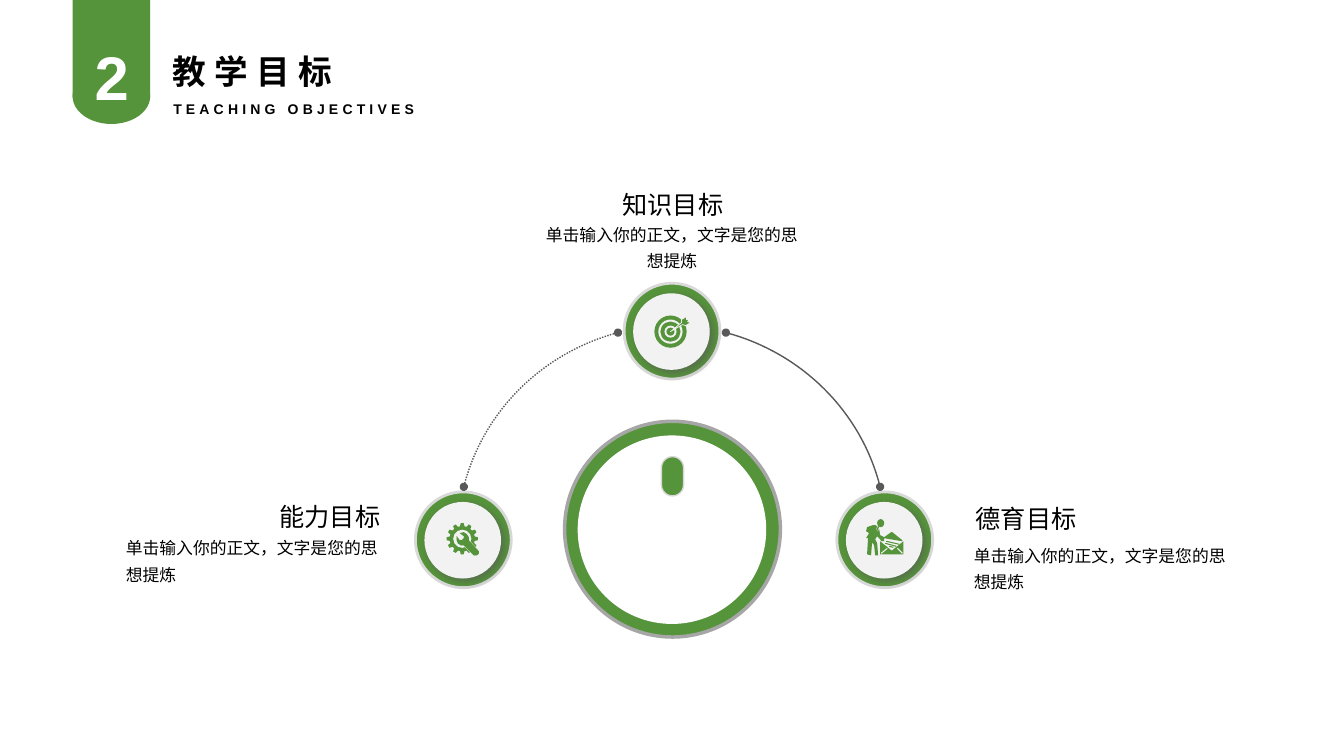
from dataclasses import dataclass
from math import cos, pi, sin

from lxml import etree
from pptx import Presentation
from pptx.dml.color import RGBColor
from pptx.enum.dml import MSO_LINE
from pptx.enum.shapes import MSO_CONNECTOR, MSO_SHAPE
from pptx.enum.text import MSO_ANCHOR, MSO_AUTO_SIZE, PP_ALIGN
from pptx.oxml.ns import qn
from pptx.util import Pt

PX = 9144
SLIDE_W, SLIDE_H = 1333, 750
TITLE_ONLY = 5
ELLIPSE = MSO_SHAPE.OVAL
RECTANGLE = MSO_SHAPE.RECTANGLE
PILL = MSO_SHAPE.ROUNDED_RECTANGLE
STRAIGHT = MSO_CONNECTOR.STRAIGHT
DOTTED = MSO_LINE.ROUND_DOT
TOP = MSO_ANCHOR.TOP
NO_FIT = MSO_AUTO_SIZE.NONE
LEFT, CENTER, RIGHT = PP_ALIGN.LEFT, PP_ALIGN.CENTER, PP_ALIGN.RIGHT


@dataclass(frozen=True)
class Theme:
    green: str = "55943A"
    white: str = "FFFFFF"
    pale: str = "F2F2F2"
    black: str = "000000"
    dark: str = "595959"
    hub_rim: str = "A6A6A6"
    node_rim: str = "D9D9D9"
    latin: str = "Arial"
    chinese: str = "Noto Sans CJK SC"
    number: int = 44
    title: int = 24
    heading: int = 18
    body: int = 12
    subtitle: int = 10


THEME = Theme()
DESCRIPTION = "单击输入你的正文，文字是您的思想提炼"
NODES = {"ability": (460, 536), "knowledge": (667, 329), "morality": (878, 536)}
GOALS = [
    ("知识目标", (539, 174, 257, 46), CENTER, 1.3, (530, 212, 273, 62), CENTER),
    ("德育目标", (958, 494, 257, 40), LEFT, 1.0, (956, 530, 271, 62), LEFT),
    ("能力目标", (130, 483, 257, 46), RIGHT, 1.3, (115, 523, 275, 62), LEFT),
]
ARC = [(460, 483), (479, 408), (538, 350), (613, 330)]
DART = [(665, 329), (677, 322), (680, 323), (685, 320), (682, 319), (683, 318),
        (682, 317), (681, 317), (681, 314), (676, 317), (676, 320)]
WRENCH = [(475, 547), (465, 536), (465, 533), (463, 530), (460, 528), (456, 529),
          (460, 532), (460, 534), (458, 536), (456, 536), (453, 532), (453, 536),
          (454, 539), (457, 541), (460, 541), (470, 551), (473, 551), (475, 549)]
PERSON = [(860, 523), (863, 522), (866, 521), (868, 521), (870, 522), (869, 525),
          (868, 529), (870, 524), (871, 522), (872, 523), (869, 529), (872, 525),
          (873, 531), (877, 533), (884, 528), (885, 528), (895, 536), (895, 537),
          (877, 534), (877, 537), (874, 537), (873, 535), (870, 532), (868, 535),
          (870, 539), (871, 551), (868, 551), (867, 541), (865, 538), (864, 551),
          (860, 550), (861, 534), (859, 534), (862, 529), (859, 527)]
ENVELOPE = [(873, 537), (884, 546), (885, 546), (896, 537), (896, 550), (873, 550)]
LETTER_STROKES = [
    ((879, 537), (892, 540), THEME.green), ((878, 539), (889, 542), THEME.green),
    ((882, 542), (886, 543), THEME.green), ((880, 544), (874, 549), THEME.pale),
    ((890, 544), (895, 549), THEME.pale),
]


def emu(*lengths):
    return [round(length * PX) for length in lengths]


def paint(shape, fill, rim=None, rim_pt=0):
    shape.shadow.inherit = False
    if fill:
        shape.fill.solid()
        shape.fill.fore_color.rgb = RGBColor.from_string(fill)
    else:
        shape.fill.background()
    if rim:
        shape.line.color.rgb = RGBColor.from_string(rim)
        shape.line.width = Pt(rim_pt)
    else:
        shape.line.fill.background()
    return shape


def add_preset(slide, kind, box, fill, rim=None, rim_pt=0):
    shape = slide.shapes.add_shape(kind, *emu(*box))
    if kind == PILL:
        shape.adjustments[0] = 0.5
    return paint(shape, fill, rim, rim_pt)


def add_disc(slide, center, radius, fill):
    x, y = center
    add_preset(slide, ELLIPSE, (x - radius, y - radius, 2 * radius, 2 * radius), fill)


def add_outline(slide, points, fill, rim=None, rim_pt=0, closed=True):
    start, *others = [tuple(emu(*point)) for point in points]
    builder = slide.shapes.build_freeform(*start)
    builder.add_line_segments(others, close=closed)
    return paint(builder.convert_to_shape(), fill, rim, rim_pt)


def add_stroke(slide, start, end, color):
    stroke = slide.shapes.add_connector(STRAIGHT, *emu(*start, *end))
    stroke.line.color.rgb = RGBColor.from_string(color)
    stroke.line.width = Pt(0.75)
    etree.SubElement(stroke._element.spPr, qn("a:effectLst"))


def write(holder, text, size, font=THEME.chinese, color=THEME.black, bold=False,
          tracking=0, align=LEFT, spacing=1.0, wrap=True):
    frame = holder.text_frame
    paragraph = frame.paragraphs[0]
    run = paragraph.add_run()
    run.text = text
    formats = {
        frame: {"word_wrap": wrap, "auto_size": NO_FIT, "vertical_anchor": TOP},
        paragraph: {"alignment": align, "line_spacing": spacing},
        run.font: {"name": font, "size": Pt(size), "bold": bold},
    }
    for target, values in formats.items():
        for name, value in values.items():
            setattr(target, name, value)
    run.font.color.rgb = RGBColor.from_string(color)
    properties = run._r.get_or_add_rPr()
    etree.SubElement(properties, qn("a:ea"), typeface=font)
    if tracking:
        properties.set("spc", str(tracking * 100))


def add_label(slide, box, text, size, **formats):
    write(slide.shapes.add_textbox(*emu(*box)), text, size, **formats)


def add_arc(slide, controls, dash=None):
    steps = 32
    points = []
    for step in range(steps + 1):
        t = step / steps
        weights = [(1 - t) ** 3, 3 * t * (1 - t) ** 2, 3 * t * t * (1 - t), t ** 3]
        points.append([sum(w * c[axis] for w, c in zip(weights, controls)) for axis in (0, 1)])
    arc = add_outline(slide, points, None, THEME.dark, 1, closed=False)
    if dash:
        arc.line.dash_style = dash
    for end in ("a:headEnd", "a:tailEnd"):
        etree.SubElement(arc.line._get_or_add_ln(), qn(end), type="oval")


def add_node(slide, center):
    x, y = center
    add_preset(slide, PILL, (x - 48, y - 48, 95, 95), THEME.green, THEME.node_rim, 2)
    face = add_preset(slide, PILL, (x - 39, y - 38, 76, 76), THEME.pale)
    effects = face._element.spPr.find(qn("a:effectLst"))
    shadow = etree.SubElement(effects, qn("a:outerShdw"), blurRad=str(Pt(6)),
                              dist=str(Pt(3)), dir="2700000", algn="tl", rotWithShape="0")
    tint = etree.SubElement(shadow, qn("a:srgbClr"), val=THEME.dark)
    etree.SubElement(tint, qn("a:alpha"), val="64000")


def add_target_icon(slide):
    for index, radius in enumerate((16, 12, 10, 6, 4)):
        add_disc(slide, (665, 329), radius, THEME.pale if index % 2 else THEME.green)
    add_outline(slide, DART, THEME.green, THEME.pale, 0.5)


def add_gear_icon(slide):
    x, y = center = (458.5, 534.5)
    teeth = 12
    profile = [(-0.34, 12.5), (-0.18, 15.5), (0.18, 15.5), (0.34, 12.5)]
    angles = [(2 * pi * (tooth + offset) / teeth, radius)
              for tooth in range(teeth) for offset, radius in profile]
    add_outline(slide, [(x + r * cos(a), y + r * sin(a)) for a, r in angles], THEME.green)
    add_disc(slide, center, 9, THEME.pale)
    add_outline(slide, WRENCH, THEME.green, THEME.pale, 0.5)
    add_outline(slide, WRENCH, THEME.green)


def add_letter_icon(slide):
    add_preset(slide, ELLIPSE, (870, 515, 7, 8), THEME.green)
    for outline in (PERSON, ENVELOPE):
        add_outline(slide, outline, THEME.green)
    for stroke in LETTER_STROKES:
        add_stroke(slide, *stroke)


def add_header(slide):
    add_preset(slide, ELLIPSE, (72, 68, 77, 55), THEME.green)
    add_preset(slide, RECTANGLE, (72, 0, 77, 97), THEME.green)
    add_label(slide, (84, 34, 54, 84), "2", THEME.number, font=THEME.latin,
              color=THEME.white, bold=True, wrap=False)
    title = slide.shapes.title
    title.left, title.top, title.width, title.height = emu(161, 45, 468, 50)
    write(title, "教学目标", THEME.title, bold=True, tracking=6)
    add_label(slide, (162, 92, 482, 28), "TEACHING OBJECTIVES", THEME.subtitle,
              font=THEME.latin, bold=True, tracking=3, spacing=1.14)


def main():
    deck = Presentation()
    deck.slide_width, deck.slide_height = emu(SLIDE_W, SLIDE_H)
    slide = deck.slides.add_slide(deck.slide_layouts[TITLE_ONLY])
    add_preset(slide, ELLIPSE, (560, 418, 214, 214), THEME.green, THEME.hub_rim, 2.5)
    add_preset(slide, ELLIPSE, (573, 432, 187, 187), THEME.white)
    add_preset(slide, PILL, (656, 453, 22, 39), THEME.green, THEME.node_rim, 1)
    for center in NODES.values():
        add_node(slide, center)
    add_arc(slide, ARC, DOTTED)
    add_arc(slide, [(SLIDE_W - x, y) for x, y in ARC])
    for heading, heading_box, heading_align, spacing, body_box, body_align in GOALS:
        add_label(slide, body_box, DESCRIPTION, THEME.body, align=body_align, spacing=1.3)
        add_label(slide, heading_box, heading, THEME.heading, align=heading_align, spacing=spacing)
    add_target_icon(slide)
    add_gear_icon(slide)
    add_letter_icon(slide)
    add_header(slide)
    deck.save("out.pptx")


if __name__ == "__main__":
    main()
